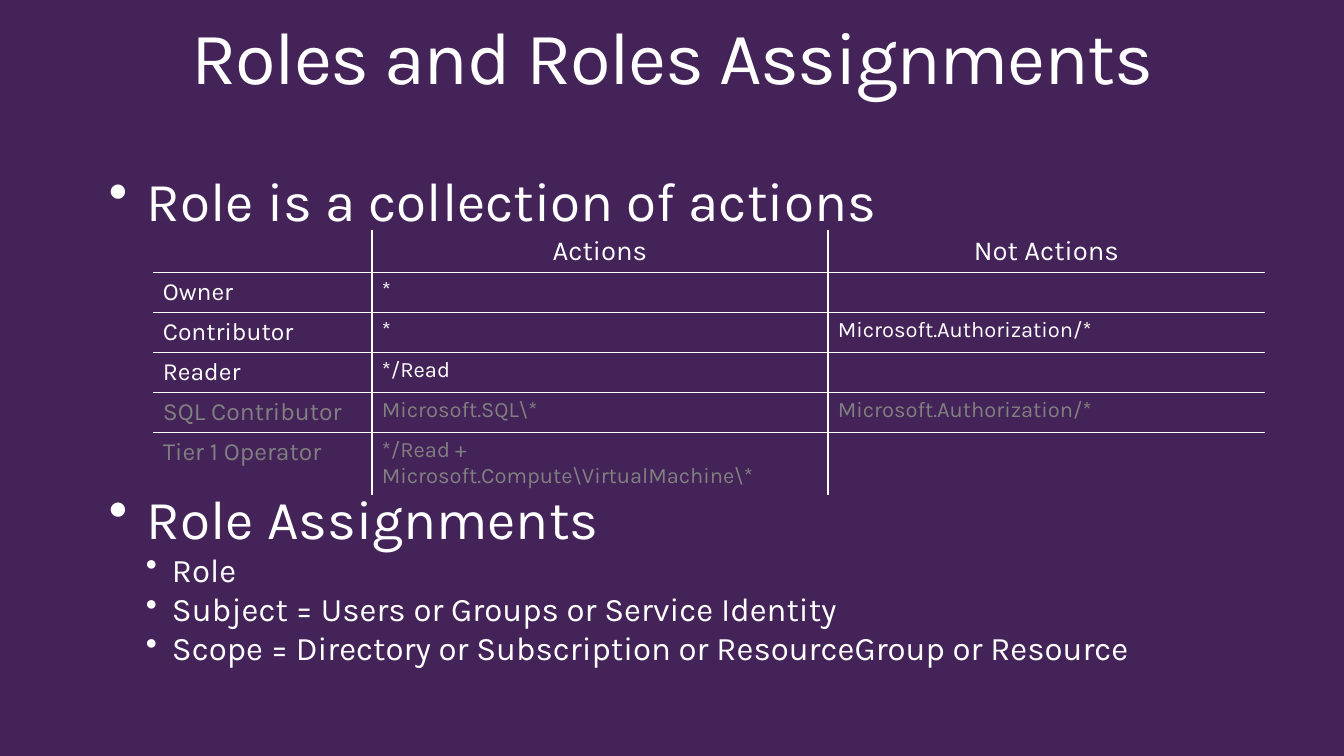
from dataclasses import dataclass

from lxml import etree
from pptx import Presentation
from pptx.dml.color import RGBColor
from pptx.enum.text import MSO_ANCHOR, PP_ALIGN
from pptx.oxml.ns import qn
from pptx.util import Pt

PX = 9255  # EMU per px
TOP = MSO_ANCHOR.TOP
LEFT, CENTER = PP_ALIGN.LEFT, PP_ALIGN.CENTER


@dataclass(frozen=True)
class Theme:
    background: str = "442359"
    text: str = "FFFFFF"
    muted: str = "808080"
    font: str = "Karla"
    title: int = 54
    topic: int = 40
    detail: int = 24
    header: int = 20
    role: int = 18
    action: int = 16
    border: int = 1


THEME = Theme()

# Bullet levels: type size, left margin and hanging indent in px
LEVELS = [(THEME.topic, 38, 38), (THEME.detail, 63, 26)]

COLUMN_WIDTHS = [219, 456, 437]
ROW_HEIGHTS = [41, 40, 40, 40, 40, 61]
ROLES = [
    ("", "Actions", "Not Actions"),
    ("Owner", "*", ""),
    ("Contributor", "*", "Microsoft.Authorization/*"),
    ("Reader", "*/Read", ""),
    ("SQL Contributor", r"Microsoft.SQL\*", "Microsoft.Authorization/*"),
    ("Tier 1 Operator", r"*/Read + Microsoft.Compute\VirtualMachine\*", ""),
]
FIRST_MUTED_ROW = 4

ASSIGNMENTS = [
    ("Role Assignments", 0),
    ("Role", 1),
    ("Subject = Users or Groups or Service Identity", 1),
    ("Scope = Directory or Subscription or ResourceGroup or Resource", 1),
]


def apply_format(target, values):
    for name, value in values.items():
        setattr(target, name, value)


def add_child(parent, tag, **attributes):
    return etree.SubElement(parent, qn(tag), attributes)


def write_span(para, text, size, color=THEME.text):
    span = para.add_run()
    span.text = text
    apply_format(span.font, {"name": THEME.font, "size": Pt(size)})
    span.font.color.rgb = RGBColor.from_string(color)
    return span


def add_text_box(slide, left, top, width, height):
    box = slide.shapes.add_textbox(left * PX, top * PX, width * PX, height * PX)
    apply_format(box.text_frame, {
        "word_wrap": True,
        "vertical_anchor": TOP,
        "margin_left": 16 * PX,
        "margin_right": 16 * PX,
        "margin_top": 10 * PX,
        "margin_bottom": 10 * PX,
    })
    return box.text_frame


def add_title(slide, text):
    para = add_text_box(slide, 93, 10, 1159, 146).paragraphs[0]
    apply_format(para, {"alignment": CENTER, "line_spacing": 0.9})
    span = write_span(para, text, THEME.title)
    span.font._element.set("spc", "-100")


def add_bullets(slide, top, height, items):
    frame = add_text_box(slide, 93, top, 1159, height)
    for index, (text, level) in enumerate(items):
        size, margin, hanging = LEVELS[level]
        para = frame.add_paragraph() if index else frame.paragraphs[0]
        properties = para._p.get_or_add_pPr()
        properties.set("marL", str(margin * PX))
        properties.set("indent", str(-hanging * PX))
        color = add_child(properties, "a:buClr")
        add_child(color, "a:srgbClr", val=THEME.text)
        add_child(properties, "a:buChar", char="•")
        apply_format(para, {
            "level": level,
            "alignment": LEFT,
            "line_spacing": 0.8,
            "space_before": Pt(size * 0.23 if index else 0),
        })
        write_span(para, text, size)


def set_borders(cell, visible):
    properties = cell._tc.get_or_add_tcPr()
    for side in "LRTB":
        width = str(Pt(THEME.border))
        line = add_child(properties, f"a:ln{side}", w=width)
        if side in visible:
            fill = add_child(line, "a:solidFill")
            add_child(fill, "a:srgbClr", val=THEME.text)
        else:
            add_child(line, "a:noFill")


def add_role_table(slide, left, top):
    last_row, last_column = len(ROLES) - 1, len(COLUMN_WIDTHS) - 1
    frame = slide.shapes.add_table(
        len(ROLES), len(COLUMN_WIDTHS), left * PX, top * PX,
        sum(COLUMN_WIDTHS) * PX, sum(ROW_HEIGHTS) * PX)
    table = frame.table
    apply_format(table, {"first_row": False, "horz_banding": False})
    for column, width in zip(table.columns, COLUMN_WIDTHS):
        column.width = width * PX
    for row, height in zip(table.rows, ROW_HEIGHTS):
        row.height = height * PX

    for r, texts in enumerate(ROLES):
        color = THEME.muted if r >= FIRST_MUTED_ROW else THEME.text
        for c, text in enumerate(texts):
            cell = table.cell(r, c)
            # Only the inner grid lines show
            inner = {"L": c > 0, "R": c < last_column,
                     "T": r > 0, "B": r < last_row}
            set_borders(cell, [side for side, shown in inner.items() if shown])
            cell.fill.background()
            para = cell.text_frame.paragraphs[0]
            para.alignment = CENTER if r == 0 else LEFT
            body_size = THEME.action if c else THEME.role
            size = THEME.header if r == 0 else body_size
            if text:
                write_span(para, text, size, color)
            else:
                para.font.size = Pt(size)


def main():
    deck = Presentation()
    apply_format(deck, {"slide_width": 1344 * PX, "slide_height": 756 * PX})
    page = deck.slides.add_slide(deck.slide_layouts[6])
    page.background.fill.solid()
    page.background.fill.fore_color.rgb = RGBColor.from_string(THEME.background)

    # Heading and role definition
    add_title(page, "Roles and Roles Assignments")
    add_bullets(page, 169, 70, [("Role is a collection of actions", 0)])

    # Roles with their actions
    add_role_table(page, 153, 230)

    # Role assignment parts
    add_bullets(page, 487, 241, ASSIGNMENTS)
    deck.save("out.pptx")


if __name__ == "__main__":
    main()
